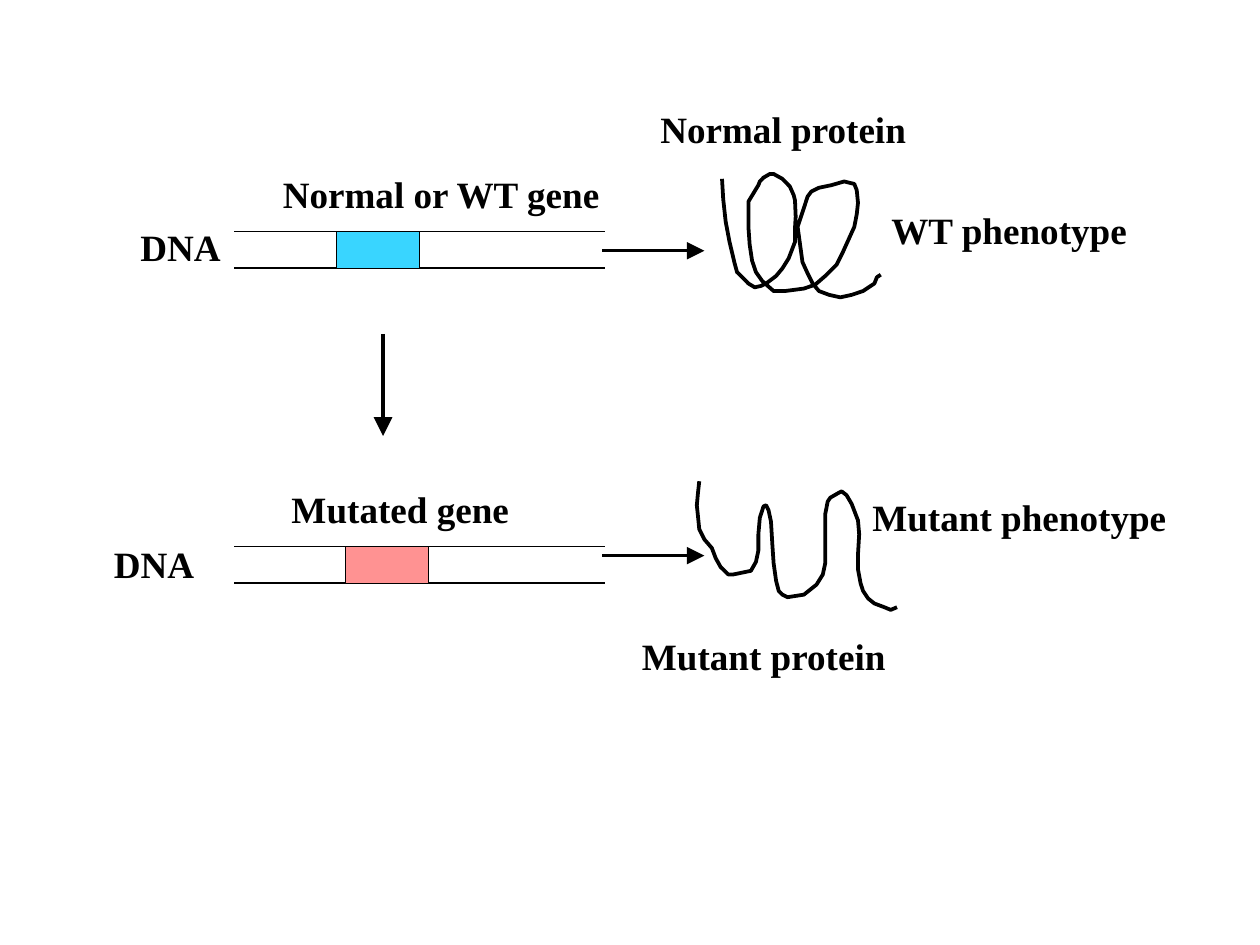
from dataclasses import dataclass

from lxml.etree import SubElement
from pptx import Presentation
from pptx.dml.color import RGBColor
from pptx.enum.shapes import MSO_CONNECTOR as Connector, MSO_SHAPE as Shape
from pptx.enum.text import MSO_ANCHOR as Anchor, PP_ALIGN as Align
from pptx.oxml.ns import qn
from pptx.util import Pt


@dataclass(frozen=True)
class Theme:
    ink: str = "000000"
    normal_gene: str = "39D5FF"
    mutated_gene: str = "FF9292"
    font: str = "Times New Roman"
    text_size: float = 21.2
    thin: float = 0.48
    outline: float = 0.72
    strand: float = 1.2
    arrow: float = 1.44
    bold: float = 2.16


THEME = Theme()

# text, left, top, width, alignment
LABELS = [
    ("DNA", 79.2, 126, 48, Align.LEFT),
    ("Normal or WT gene", 160.6, 95.8, 188, Align.LEFT),
    ("Normal protein", 375.8, 59, 142.6, Align.CENTER),
    ("WT phenotype", 508.3, 116.6, 140, Align.LEFT),
    ("DNA", 64.1, 307.4, 48, Align.LEFT),
    ("Mutated gene", 165.6, 275.8, 128, Align.LEFT),
    ("Mutant protein", 365.8, 360, 144, Align.LEFT),
    ("Mutant phenotype", 497.5, 280.8, 172, Align.LEFT),
]
LABEL_HEIGHT = 26.6

# strand top, gene left, gene colour, arrow height
GENES = [
    (132.5, 192.2, THEME.normal_gene, 143.3),
    (312.5, 197.3, THEME.mutated_gene, 317.5),
]
STRAND_LEFT, STRAND_RIGHT = 133.9, 345.6
GENE_WIDTH, GENE_HEIGHT = 47.5, 20.9
ARROW_LEFT, ARROW_RIGHT = 344.2, 402.5
MUTATION_ARROW = (218.9, 190.8, 218.9, 249.1)

NORMAL_PROTEIN = [
    (412.6, 102.2), (413.3, 113.8), (414.7, 126.7), (416.9, 138.2), (419.8, 150.5),
    (421.2, 155.5), (423.4, 157.7), (427.7, 162), (431.3, 164.2), (434.9, 163.4),
    (437.8, 162), (443.5, 157.7), (447.1, 153.4), (450.7, 147.6), (454.3, 138.2),
    (454.3, 130.3), (454.7, 123.8), (454.3, 114.5), (453.6, 111.6), (451.4, 106.6),
    (447.1, 102.2), (442.1, 99.4), (439.9, 99.4), (436.3, 101.5), (434.2, 103.7),
    (433.4, 105.8), (427.7, 115.2), (427.7, 129.6), (428.4, 139.7), (429.8, 149),
    (432, 155.5), (435.6, 160.6), (442.1, 166.3), (448.6, 166.3), (459.4, 164.9),
    (465.8, 162.7), (471.6, 157.7), (478.1, 151.2), (481.7, 144), (488.2, 129.6),
    (489.6, 122.4), (490.3, 115.9), (489.6, 108.7), (488.2, 105.1), (482.4, 103.7),
    (475.2, 105.8), (468, 107.3), (463.7, 109.4), (461.5, 112.3), (459.4, 118.8),
    (455.8, 129.6), (457.2, 139.7), (458.6, 149.8), (461.5, 156.2), (464.4, 162),
    (468, 166.3), (473.8, 168.5), (480.2, 169.9), (486.7, 168.5), (493.2, 166.3),
    (499.7, 162), (501.1, 158.4), (503.3, 157),
]
MUTANT_PROTEIN = [
    (399.6, 275), (398.9, 281.5), (398.2, 288.7), (398.9, 295.2), (399.6, 302.4),
    (402.5, 308.2), (406.8, 313.2), (409, 319), (411.8, 324), (416.2, 328.3),
    (419, 328.3), (429.1, 326.2), (432, 321.1), (433.4, 314.6), (433.4, 305.3),
    (434.2, 295.9), (436.3, 289.4), (437.8, 288.7), (439.2, 291.6), (440.6, 298.1),
    (441.4, 311.8), (442.1, 321.8), (443.5, 331.9), (445, 337.7), (447.1, 339.8),
    (450, 341.3), (459.4, 339.8), (466.6, 334.1), (470.2, 328.3), (471.6, 321.8),
    (471.6, 293.8), (473, 286.6), (474.5, 284.4), (479.5, 281.5), (481, 280.8),
    (483.8, 283), (486.7, 288), (490.3, 297.4), (491, 305.3), (490.3, 316.8),
    (490.3, 325.4), (491.8, 333.4), (493.2, 337.7), (496.1, 342), (499.7, 344.9),
    (505.4, 347), (509, 348.5), (512.6, 347),
]


def color(value):
    return RGBColor.from_string(value)


def set_line(shape, width):
    shape.line.color.rgb = color(THEME.ink)
    shape.line.width = Pt(width)


def add_text(page, text, *, left, top, width, align):
    box = page.shapes.add_textbox(Pt(left), Pt(top), Pt(width), Pt(LABEL_HEIGHT))
    frame = box.text_frame
    frame.word_wrap = True
    frame.vertical_anchor = Anchor.TOP
    frame.margin_left = Pt(1)
    frame.margin_right = frame.margin_bottom = Pt(0)
    frame.margin_top = Pt(2)
    para = frame.paragraphs[0]
    para.alignment = align
    span = para.add_run()
    span.text = text
    span.font.name = THEME.font
    span.font.size = Pt(THEME.text_size)
    span.font.bold = True
    span.font.color.rgb = color(THEME.ink)


def add_line(page, x1, y1, x2, y2, width, arrow=False):
    line = page.shapes.add_connector(Connector.STRAIGHT, Pt(x1), Pt(y1), Pt(x2), Pt(y2))
    set_line(line, width)
    if arrow:
        SubElement(line.line._get_or_add_ln(), qn("a:tailEnd"), type="triangle", w="lg", len="lg")
    SubElement(line._element.spPr, qn("a:effectLst"))


def add_gene(page, top, gene_left, fill, arrow_y):
    """Draw two DNA strands, the gene between them and the arrow to its protein."""
    bottom = top + GENE_HEIGHT
    add_line(page, STRAND_LEFT, top, STRAND_RIGHT, top, THEME.thin)
    add_line(page, STRAND_LEFT, bottom, STRAND_RIGHT, bottom, THEME.strand)
    gene = page.shapes.add_shape(
        Shape.RECTANGLE, Pt(gene_left), Pt(top), Pt(GENE_WIDTH), Pt(GENE_HEIGHT))
    gene.shadow.inherit = False
    gene.fill.solid()
    gene.fill.fore_color.rgb = color(fill)
    set_line(gene, THEME.outline)
    add_line(page, ARROW_LEFT, arrow_y, ARROW_RIGHT, arrow_y, THEME.arrow, arrow=True)


def add_protein(page, points):
    start, *rest = [(Pt(x), Pt(y)) for x, y in points]
    builder = page.shapes.build_freeform(*start)
    builder.add_line_segments(rest, close=False)
    protein = builder.convert_to_shape()
    protein.shadow.inherit = False
    protein.fill.background()
    set_line(protein, THEME.bold)


def main():
    deck = Presentation()
    deck.slide_width, deck.slide_height = Pt(720), Pt(540)
    page = deck.slides.add_slide(deck.slide_layouts[6])
    add_line(page, *MUTATION_ARROW, THEME.bold, arrow=True)
    for gene in GENES:
        add_gene(page, *gene)
    for points in (NORMAL_PROTEIN, MUTANT_PROTEIN):
        add_protein(page, points)
    for text, left, top, width, align in LABELS:
        add_text(page, text, left=left, top=top, width=width, align=align)
    deck.save("out.pptx")


if __name__ == "__main__":
    main()
